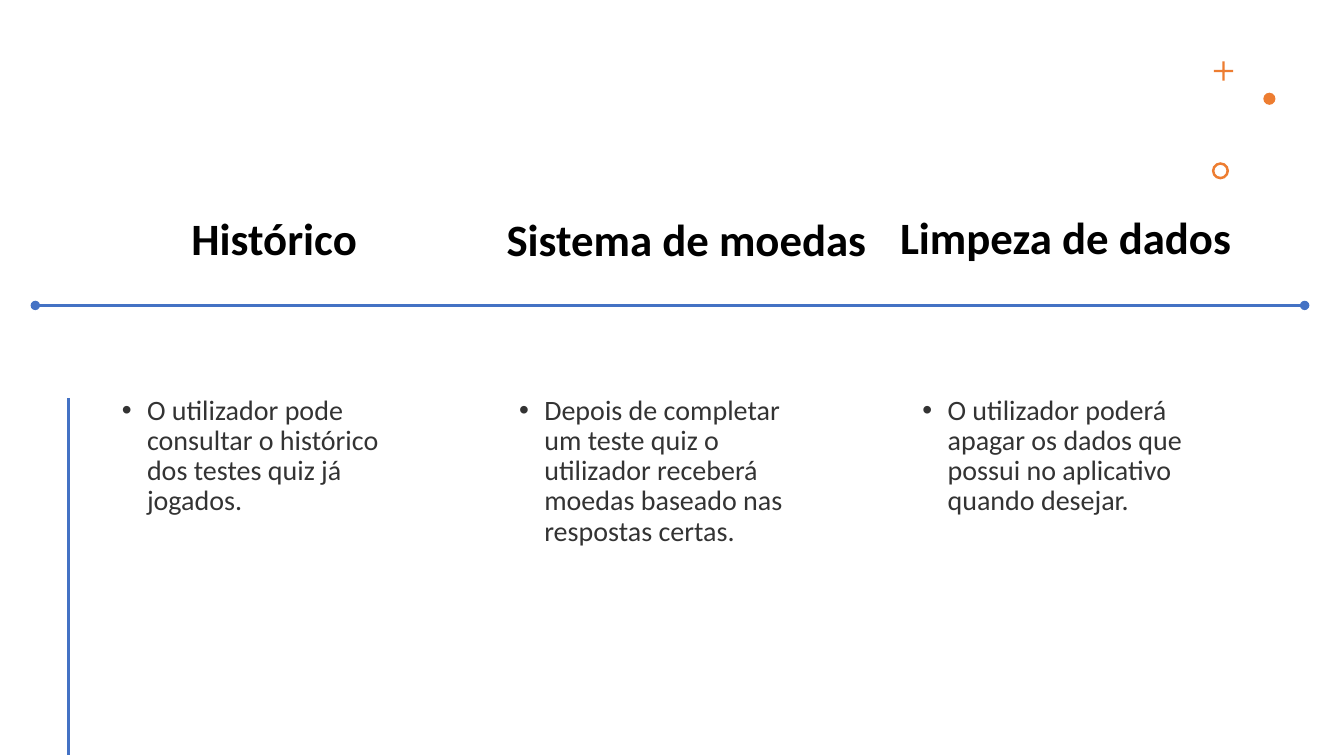
from dataclasses import dataclass

from pptx import Presentation
from pptx.dml.color import RGBColor
from pptx.enum.shapes import MSO_CONNECTOR, MSO_SHAPE
from pptx.enum.text import MSO_ANCHOR, MSO_AUTO_SIZE, PP_ALIGN
from pptx.oxml.ns import qn
from pptx.util import Inches, Pt
from lxml.etree import SubElement


@dataclass(frozen=True)
class Theme:
    font: str = "Calibri"
    black: RGBColor = RGBColor(0, 0, 0)
    gray: RGBColor = RGBColor(0x33, 0x33, 0x33)
    blue: RGBColor = RGBColor(0x44, 0x72, 0xC4)
    orange: RGBColor = RGBColor(0xED, 0x7D, 0x31)
    head: Pt = Pt(32)
    body: Pt = Pt(20)


THEME = Theme()

# Heading, its left, top and width; body text and its left
COLUMNS = [
    ("Histórico", 0.81, 1.65, 3.82,
     "O utilizador pode consultar o histórico dos testes quiz já jogados.", 1.11),
    ("Sistema de moedas", 4.79, 1.66, 4.04,
     "Depois de completar um teste quiz o utilizador receberá moedas "
     "baseado nas respostas certas.", 5.05),
    ("Limpeza de dados", 8.62, 1.64, 3.9,
     "O utilizador poderá apagar os dados que possui no aplicativo "
     "quando desejar.", 9.05),
]

# Shape, left, top, size, adjustment
MARKS = [
    (MSO_SHAPE.CROSS, 12.04, 0.61, 0.19, 0.44),
    (MSO_SHAPE.OVAL, 12.53, 0.92, 0.12, None),
    (MSO_SHAPE.DONUT, 12.02, 1.61, 0.17, 0.15),
]


def add_mark(slide, kind, left, top, size, adjust):
    mark = slide.shapes.add_shape(
        kind, Inches(left), Inches(top), Inches(size), Inches(size))
    mark.shadow.inherit = False
    mark.fill.solid()
    mark.fill.fore_color.rgb = THEME.orange
    mark.line.fill.background()
    if adjust is not None:
        mark.adjustments[0] = adjust


def add_rule(slide, start, end, width, dots=False):
    rule = slide.shapes.add_connector(
        MSO_CONNECTOR.STRAIGHT, *map(Inches, start + end))
    rule.line.color.rgb = THEME.blue
    rule.line.width = Pt(width)
    if dots:
        line = rule.line._get_or_add_ln()
        for tag in ("a:headEnd", "a:tailEnd"):
            SubElement(line, qn(tag), type="oval")
    SubElement(rule._element.spPr, qn("a:effectLst"))


def add_box(slide):
    return slide.shapes.add_textbox(0, 0, 0, 0)


def fill_text(box, place, text, size, color, bold=False):
    """Place the box, set its text and return its only paragraph."""
    box.left, box.top, box.width, box.height = map(Inches, place)
    frame = box.text_frame
    frame.text = text
    frame.word_wrap = True
    frame.auto_size = MSO_AUTO_SIZE.NONE
    para = frame.paragraphs[0]
    para.line_spacing = 0.9
    para.space_before = Pt(0)
    font = para.runs[0].font
    font.name, font.size, font.bold = THEME.font, size, bold
    font.color.rgb = color
    return para


def set_head(box, text, left, top, width):
    para = fill_text(box, (left, top, width, 1.03), text,
                     THEME.head, THEME.black, True)
    para.alignment = PP_ALIGN.CENTER
    box.text_frame.vertical_anchor = MSO_ANCHOR.BOTTOM


def add_bullet(slide, text, left):
    para = fill_text(add_box(slide), (left, 3.88, 2.98, 2.22), text,
                     THEME.body, THEME.gray)
    props = para._p.get_or_add_pPr()
    props.set("marL", str(Inches(0.25)))
    props.set("indent", str(-Inches(0.25)))
    SubElement(props, qn("a:buFont"), typeface="Arial")
    SubElement(props, qn("a:buChar"), char="•")


def main():
    deck = Presentation()
    deck.slide_width, deck.slide_height = Inches(13.33), Inches(7.5)
    slide = deck.slides.add_slide(deck.slide_layouts[5])
    for mark in MARKS:
        add_mark(slide, *mark)
    add_rule(slide, (0.68, 3.95), (0.68, 7.49), 2)
    for index, (head, left, top, width, body, inset) in enumerate(COLUMNS):
        box = add_box(slide) if index else slide.shapes.title
        set_head(box, head, left, top, width)
        add_bullet(slide, body, inset)
    add_rule(slide, (0.35, 3.03), (12.94, 3.03), 2.25, dots=True)
    deck.save("out.pptx")


if __name__ == "__main__":
    main()
